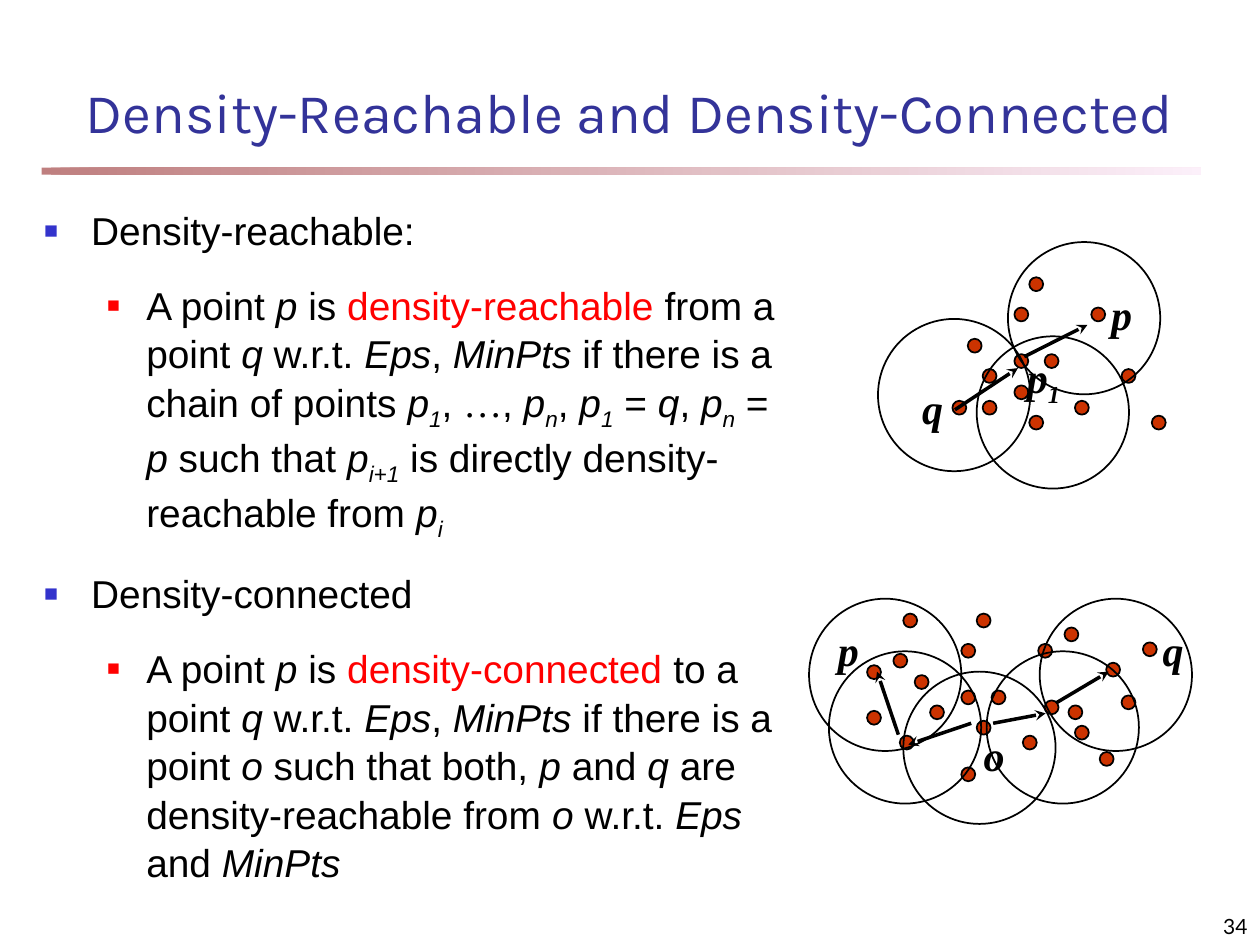
"""Build the slide on density-reachable and density-connected points."""
from dataclasses import dataclass

from lxml import etree
from pptx import Presentation
from pptx.dml.color import RGBColor
from pptx.enum.shapes import MSO_CONNECTOR, MSO_SHAPE
from pptx.enum.text import MSO_ANCHOR, PP_ALIGN
from pptx.oxml.ns import qn
from pptx.util import Cm, Pt

OVAL, RECT = MSO_SHAPE.OVAL, MSO_SHAPE.RECTANGLE
STRAIGHT = MSO_CONNECTOR.STRAIGHT
TOP, MIDDLE, BOTTOM = MSO_ANCHOR.TOP, MSO_ANCHOR.MIDDLE, MSO_ANCHOR.BOTTOM
LEFT, CENTER, RIGHT = PP_ALIGN.LEFT, PP_ALIGN.CENTER, PP_ALIGN.RIGHT

BLACK = RGBColor(0x00, 0x00, 0x00)
RED = RGBColor(0xFF, 0x00, 0x00)
BLUE = RGBColor(0x33, 0x33, 0xCC)
TITLE_BLUE = RGBColor(0x33, 0x33, 0x99)
DOT_RED = RGBColor(0xCC, 0x33, 0x00)
RULE_START = RGBColor(0x80, 0x00, 0x00)
RULE_END = RGBColor(0xFA, 0xE2, 0xF6)

DOT, CIRCLE = 0.28, 3.07
SERIF = "Times New Roman"


@dataclass
class Label:
    text: str
    x: float
    y: float
    width: float = 1.07


@dataclass
class Arrow:
    x1: float
    y1: float
    x2: float
    y2: float


@dataclass
class Diagram:
    dots: list[tuple[float, float]]
    circles: list[tuple[float, float]]
    arrows: list[Arrow]
    labels: list[Label]


@dataclass
class Level:
    margin: float
    indent: float
    color: RGBColor
    bullet_size: int


TOPIC = Level(0.95, -0.95, BLUE, 60)
DETAIL = Level(2.06, -0.79, RED, 55)

BODY = [
    (TOPIC, "Density-reachable:"),
    (DETAIL, "A point |*p| is |!density-reachable| from a point |*q| w.r.t. |*Eps|, |*MinPts"
             "| if there is a chain of points |*p|_1|, |~…|, |*p|_n|, |*p|_1| = |*q|, |*p|_n"
             "| = |*p| such that |*p|_i+1| is directly density-reachable from |*p|_i"),
    (TOPIC, "Density-connected"),
    (DETAIL, "A point |*p| is |!density-connected| to a point |*q| w.r.t. |*Eps|, |*MinPts"
             "| if there is a point |*o |such that both, |*p| and |*q"
             "| are density-reachable from |*o| w.r.t. |*Eps| and |*MinPts"),
]

REACHABLE = Diagram(
    dots=[(19.51, 6.83), (20.45, 7.14), (20.45, 6.2), (19.2, 8.08), (19.81, 7.44),
          (19.81, 8.08), (20.75, 8.38), (20.75, 5.59), (22.61, 7.44), (22, 6.2),
          (20.45, 7.77), (21.06, 7.14), (21.67, 8.08), (23.22, 8.38)],
    circles=[(19.69, 6.78), (17.7, 6.43), (20.32, 4.88)],
    arrows=[Arrow(20.65, 7.19, 21.92, 6.55), Arrow(19.25, 8.26, 20.52, 7.42)],
    labels=[Label("p", 22.15, 5.69), Label("q", 18.34, 7.59), Label("p|_1", 20.45, 6.96, 1.7)],
)
CONNECTED = Diagram(
    dots=[(18.44, 13.61), (19.38, 13.92), (19.38, 12.98), (18.14, 14.83), (18.75, 14.22),
          (19.38, 15.47), (19.69, 14.53), (19.69, 12.37), (21.54, 14.22), (20.93, 12.98),
          (17.48, 14.33), (19.99, 13.92), (20.62, 14.83), (22.17, 15.16), (22.61, 14.02),
          (21.06, 14.12), (21.67, 14.63), (23.04, 12.95), (21.46, 12.65), (22.3, 13.36),
          (18.01, 13.18), (17.48, 13.41), (18.21, 12.37)],
    circles=[(16.71, 13.13), (18.21, 13.54), (19.89, 13.13), (20.96, 12.07), (16.31, 12.07)],
    arrows=[Arrow(19.58, 14.58, 18.31, 15.01), Arrow(20.02, 14.58, 21.08, 14.38),
            Arrow(18.11, 14.81, 17.68, 13.54), Arrow(21.29, 14.17, 22.35, 13.54)],
    labels=[Label("p", 16.64, 12.47), Label("q", 23.19, 12.47), Label("o", 19.58, 14.58)],
)


def add_runs(p, text: str) -> None:
    """Split text at bars; a leading *, _, ! or ~ means italic, subscript, red or serif."""
    for part in text.split("|"):
        mark = part[0] if part[0] in "*_!~" else ""
        r = p.add_run()
        r.text = part[len(mark):]
        if mark in ("*", "_"):
            r.font.italic = True
        if mark == "_":
            r.font._element.set("baseline", "-25000")
        elif mark == "!":
            r.font.color.rgb = RED
        elif mark == "~":
            r.font.name = SERIF


def style(p, font: str, size: float, color: RGBColor = BLACK) -> None:
    """Set the paragraph font."""
    p.font.name, p.font.size = font, Pt(size)
    p.font.color.rgb = color


def add_box(s, x: float, y: float, w: float, h: float, anchor=TOP):
    """Add a wrapping text box and return its text frame."""
    tf = s.shapes.add_textbox(Cm(x), Cm(y), Cm(w), Cm(h)).text_frame
    tf.word_wrap, tf.vertical_anchor = True, anchor
    return tf


def add_line(s, x, y, w, h, text, font, size, color=BLACK, align=LEFT, anchor=TOP):
    """Add a one-paragraph text box and return the paragraph."""
    p = add_box(s, x, y, w, h, anchor).paragraphs[0]
    p.alignment = align
    style(p, font, size, color)
    add_runs(p, text)
    return p


def add_bullet(p, level: Level) -> None:
    """Give a paragraph a hanging square bullet."""
    pPr = p._p.get_or_add_pPr()
    pPr.set("marL", str(Cm(level.margin)))
    pPr.set("indent", str(Cm(level.indent)))
    items = [etree.Element(qn(f"a:{tag}")) for tag in ("buClr", "buSzPct", "buFont", "buChar")]
    etree.SubElement(items[0], qn("a:srgbClr")).set("val", str(level.color))
    items[1].set("val", str(level.bullet_size * 1000))
    items[2].set("typeface", "Arial")
    items[3].set("char", "■")
    pPr.find(qn("a:defRPr")).getprevious().addnext(items[0])
    for before, after in zip(items, items[1:]):
        before.addnext(after)


def add_body(s) -> None:
    """Add the bulleted definitions."""
    tf = add_box(s, 0.64, 4.01, 15.67, 13.97)
    for i, (level, text) in enumerate(BODY):
        p = tf.add_paragraph() if i else tf.paragraphs[0]
        p.space_before, p.line_spacing = Pt(15), 1.04
        style(p, "Arial", 22.2)
        add_bullet(p, level)
        add_runs(p, text)


def add_oval(s, x: float, y: float, size: float, fill: RGBColor | None = None) -> None:
    """Add a round shape with a thin black line."""
    sp = s.shapes.add_shape(OVAL, Cm(x), Cm(y), Cm(size), Cm(size))
    sp.shadow.inherit = False
    sp.line.color.rgb, sp.line.width = BLACK, Pt(1)
    if fill is None:
        sp.fill.background()
    else:
        sp.fill.solid()
        sp.fill.fore_color.rgb = fill


def add_arrow(s, a: Arrow) -> None:
    """Add a line with a stealth head at its end."""
    c = s.shapes.add_connector(STRAIGHT, Cm(a.x1), Cm(a.y1), Cm(a.x2), Cm(a.y2))
    c.line.color.rgb, c.line.width = BLACK, Pt(2)
    etree.SubElement(c.line._get_or_add_ln(), qn("a:tailEnd")).set("type", "stealth")
    etree.SubElement(c._element.spPr, qn("a:effectLst"))


def add_diagram(s, d: Diagram) -> None:
    """Draw the points, their neighbourhoods, arrows and names."""
    for x, y in d.dots:
        add_oval(s, x, y, DOT, DOT_RED)
    for x, y in d.circles:
        add_oval(s, x, y, CIRCLE)
    for a in d.arrows:
        add_arrow(s, a)
    for t in d.labels:
        p = add_line(s, t.x, t.y, t.width, 1.27, t.text, SERIF, 24)
        p.font.bold = p.font.italic = True


def add_rule(s) -> None:
    """Add the half-transparent gradient bar under the title."""
    sp = s.shapes.add_shape(RECT, Cm(0.84), Cm(3.38), Cm(23.37), Cm(0.14))
    sp.shadow.inherit = False
    sp.line.fill.background()
    sp.fill.gradient()
    sp.fill.gradient_angle = 0
    for stop, color in zip(sp.fill.gradient_stops, (RULE_START, RULE_END)):
        stop.color.rgb = color
    for clr in sp._element.spPr.iter(qn("a:srgbClr")):
        etree.SubElement(clr, qn("a:alpha")).set("val", "50000")


def main() -> None:
    """Build and save the slide."""
    prs = Presentation()
    prs.slide_width, prs.slide_height = Cm(25.4), Cm(19.05)
    s = prs.slides.add_slide(prs.slide_layouts[6])
    add_rule(s)
    add_line(s, 0, 1.07, 25.4, 2.34, "Density-Reachable and Density-Connected",
             "Karla", 32, TITLE_BLUE, CENTER, MIDDLE)
    add_body(s)
    add_diagram(s, REACHABLE)
    add_diagram(s, CONNECTED)
    add_line(s, 20.12, 17.98, 5.28, 1.07, "34", "Lato", 12, BLACK, RIGHT, BOTTOM)
    prs.save("out.pptx")


if __name__ == "__main__":
    main()
